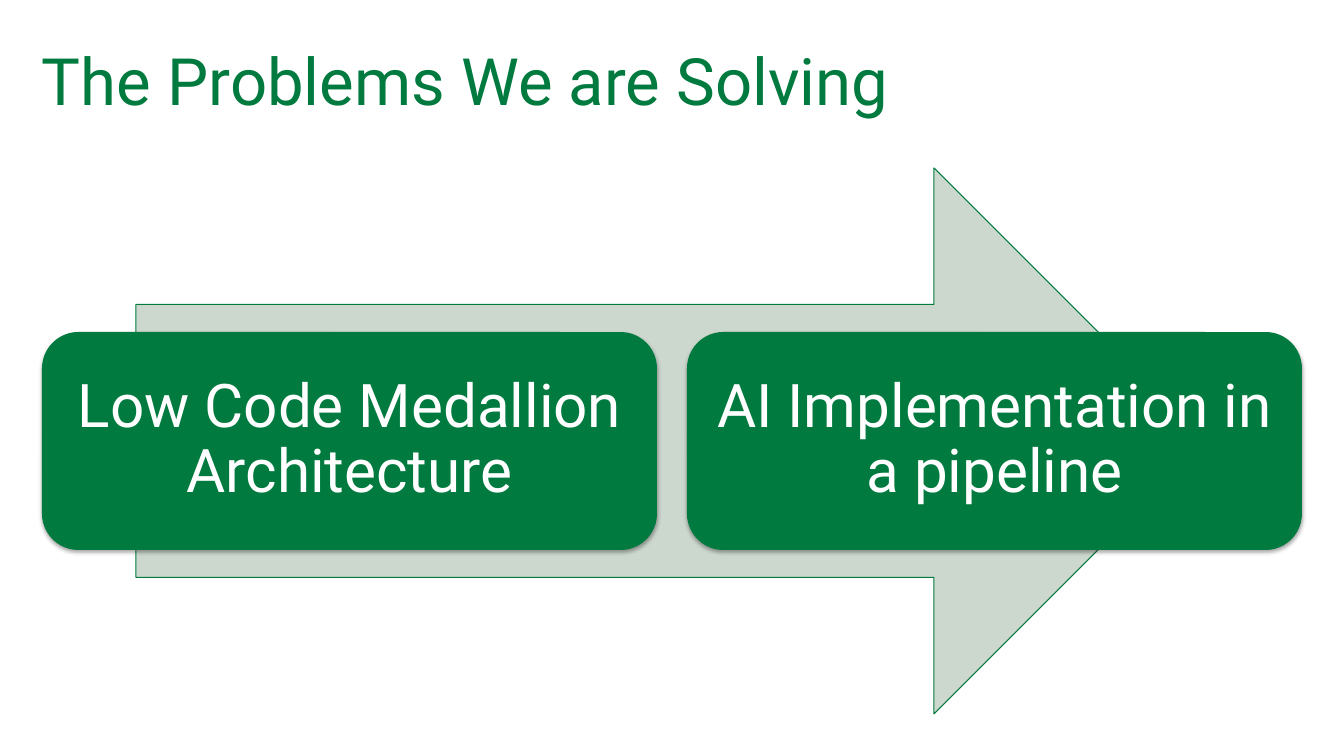
"""Build the slide of the two problems being solved, on a wide arrow."""
from lxml.etree import SubElement
from pptx import Presentation
from pptx.dml.color import RGBColor
from pptx.enum.shapes import MSO_SHAPE
from pptx.enum.text import MSO_ANCHOR, PP_ALIGN
from pptx.oxml.ns import qn
from pptx.util import Pt

TITLE = "The Problems We are Solving"
STEPS = ["Low Code Medallion Architecture", "AI Implementation in a pipeline"]
COLORS = {"green": "007A3E", "pale": "CCD7CE", "white": "FFFFFF", "black": "000000"}
FONT = "Roboto"
WIDE, HIGH = 1344, 756
EDGE, GAP = 42, 30
ARROW = (136, 168, 1071, 546)
STEP_TOP, STEP_HIGH = 332, 218


def px(num):
    return round(num * 914400 / 100.8)


def rgb(name):
    return RGBColor.from_string(COLORS[name])


def write(frame, text, size, color, align, inset):
    frame.text = text
    frame.word_wrap = True
    frame.vertical_anchor = MSO_ANCHOR.MIDDLE
    frame.margin_left = frame.margin_right = px(inset)
    frame.margin_top = frame.margin_bottom = px(inset)
    para = frame.paragraphs[0]
    para.alignment = align
    para.line_spacing = 0.9
    font = para.runs[0].font
    font.name, font.size = FONT, Pt(size)
    font.color.rgb = rgb(color)


def draw(kind, box, fill):
    shape = slide.shapes.add_shape(kind, *map(px, box))
    shape.shadow.inherit = False
    shape.fill.solid()
    shape.fill.fore_color.rgb = rgb(fill)
    return shape


def shade(shape):
    effects = shape._element.spPr.find(qn("a:effectLst"))
    outer = SubElement(effects, qn("a:outerShdw"), blurRad=str(Pt(3.1)),
                       dist=str(Pt(1.8)), dir="5400000", rotWithShape="0")
    color = SubElement(outer, qn("a:srgbClr"), val=COLORS["black"])
    SubElement(color, qn("a:alpha"), val="35000")


deck = Presentation()
deck.slide_width, deck.slide_height = px(WIDE), px(HIGH)
slide = deck.slides.add_slide(deck.slide_layouts[5])

title = slide.shapes.title
title.left, title.top = px(EDGE), px(EDGE)
title.width, title.height = px(WIDE - 2 * EDGE), px(84)
write(title.text_frame, TITLE, 46.6, "green", PP_ALIGN.LEFT, 0)

arrow = draw(MSO_SHAPE.RIGHT_ARROW, ARROW, "pale")
arrow.line.color.rgb = rgb("green")
arrow.line.width = Pt(0.75)

step_wide = (WIDE - 2 * EDGE - GAP * (len(STEPS) - 1)) / len(STEPS)
for col, text in enumerate(STEPS):
    left = EDGE + col * (step_wide + GAP)
    step = draw(MSO_SHAPE.ROUNDED_RECTANGLE, (left, STEP_TOP, step_wide, STEP_HIGH), "green")
    step.line.fill.background()
    shade(step)
    write(step.text_frame, text, 43, "white", PP_ALIGN.CENTER, 17)

deck.save("out.pptx")
